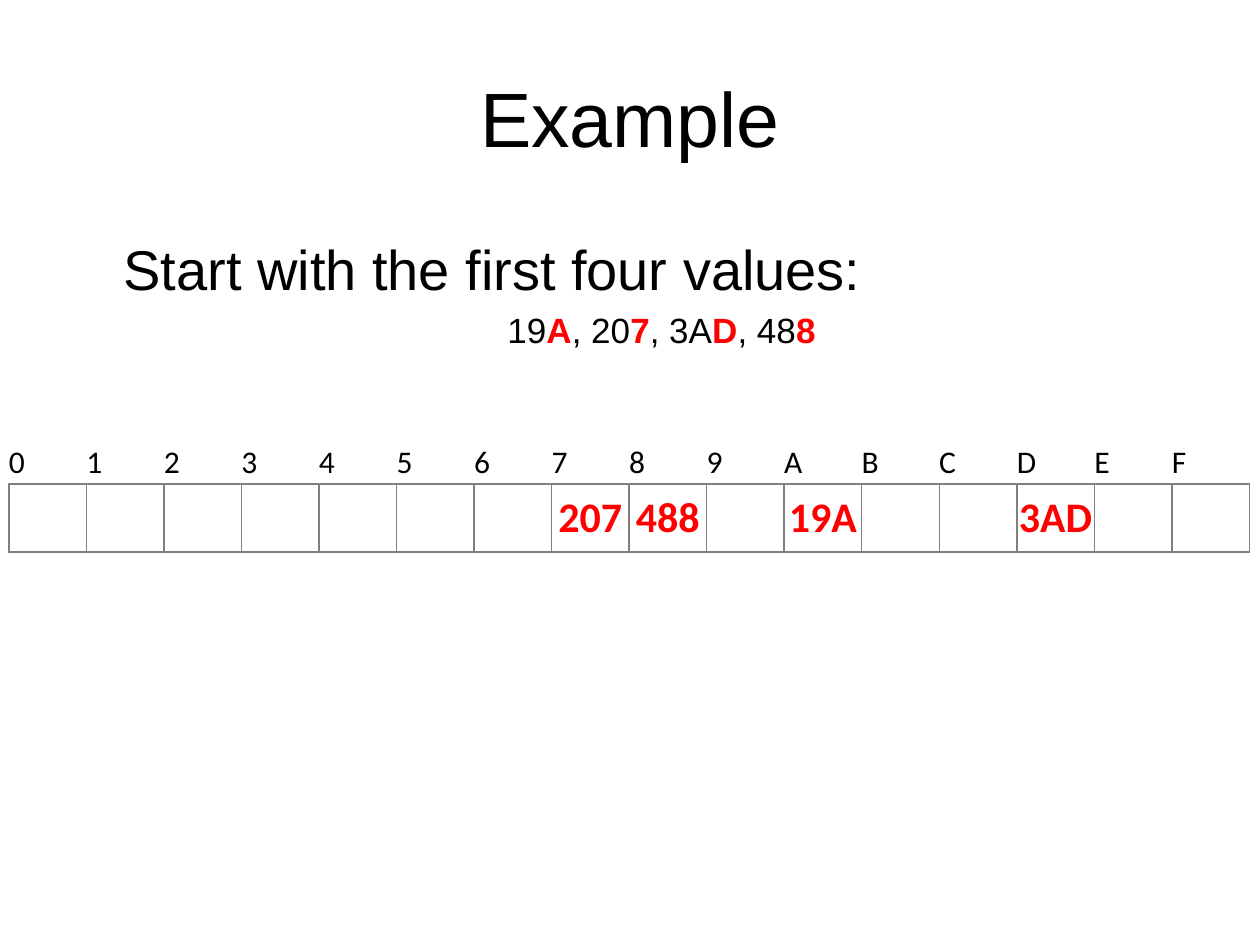
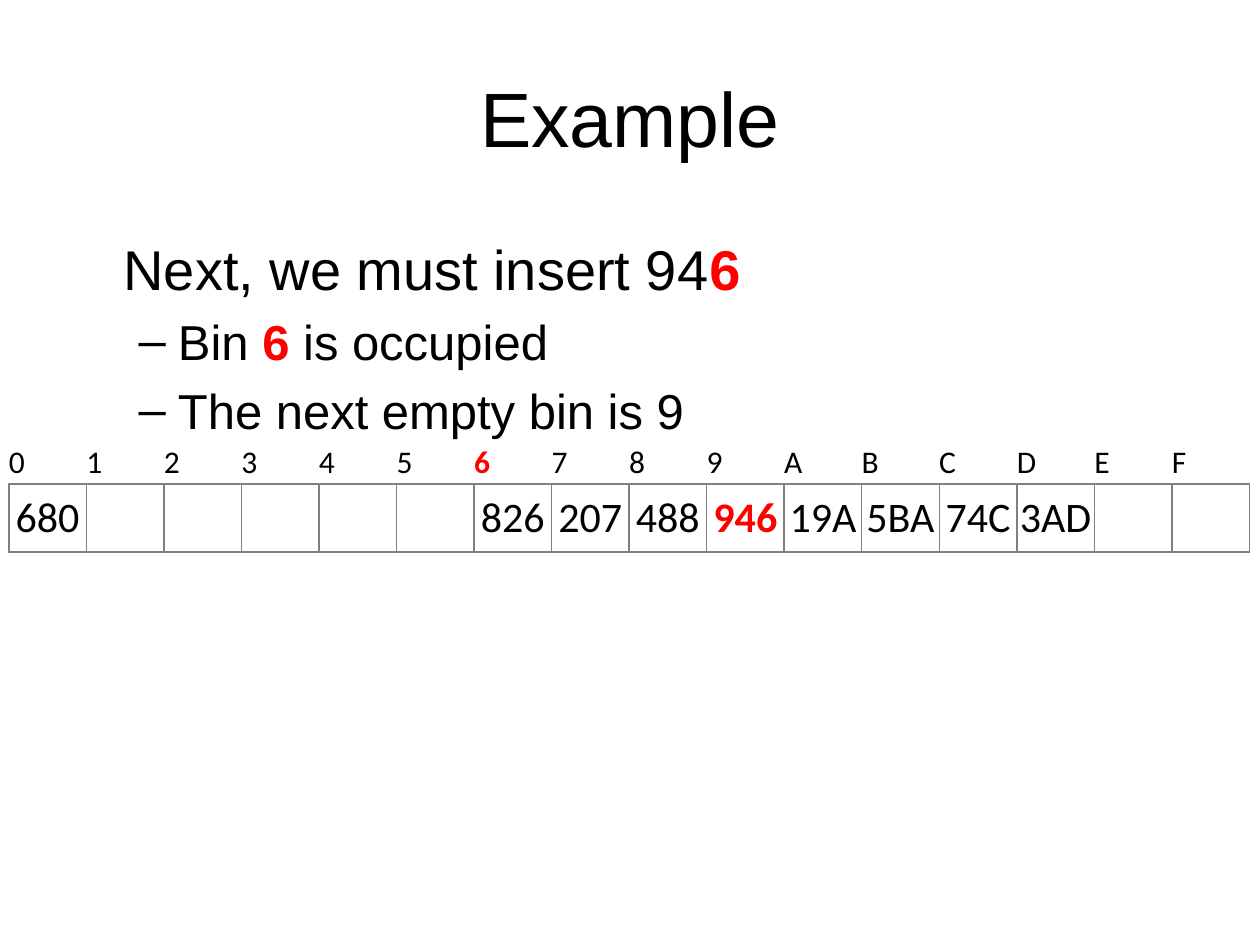
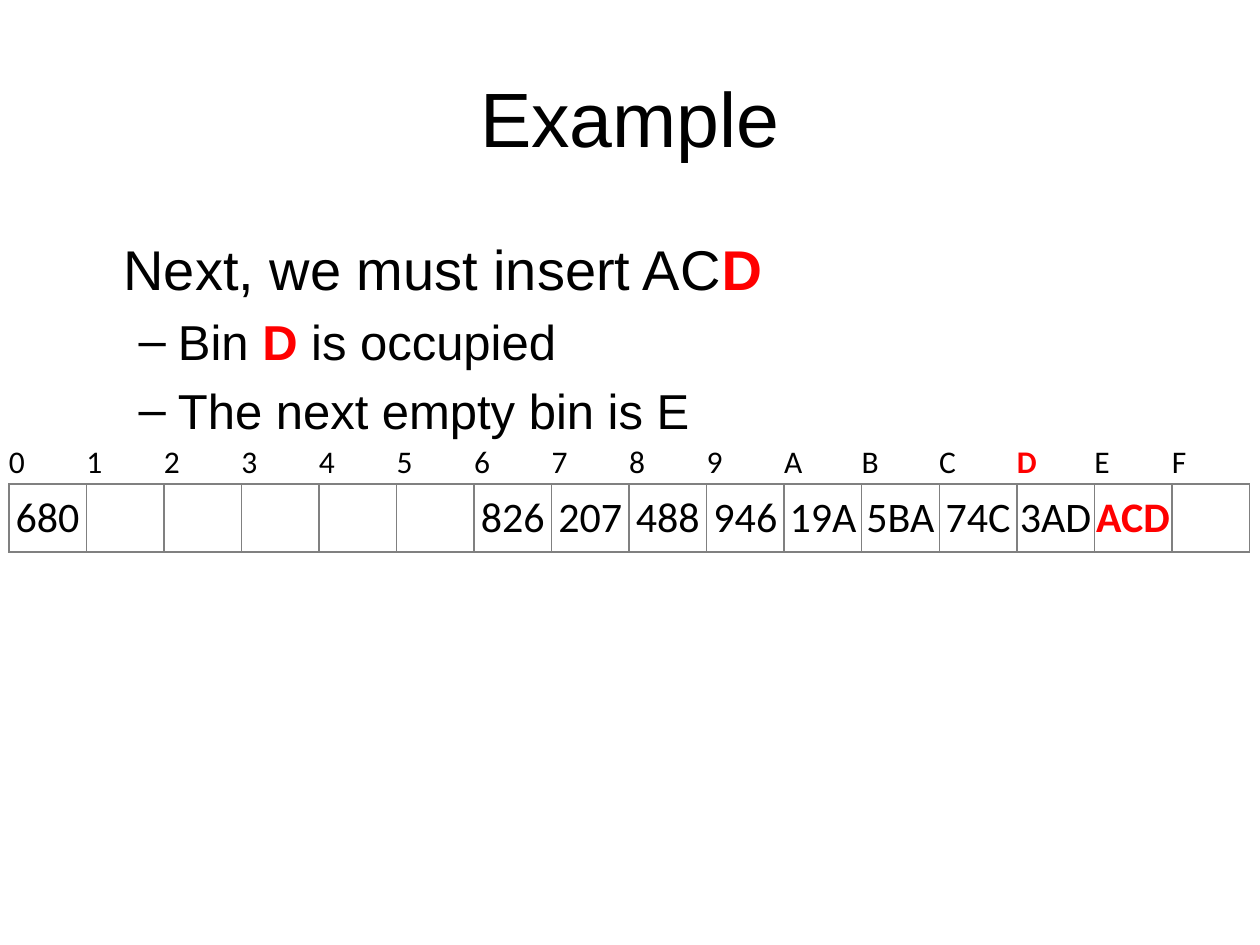
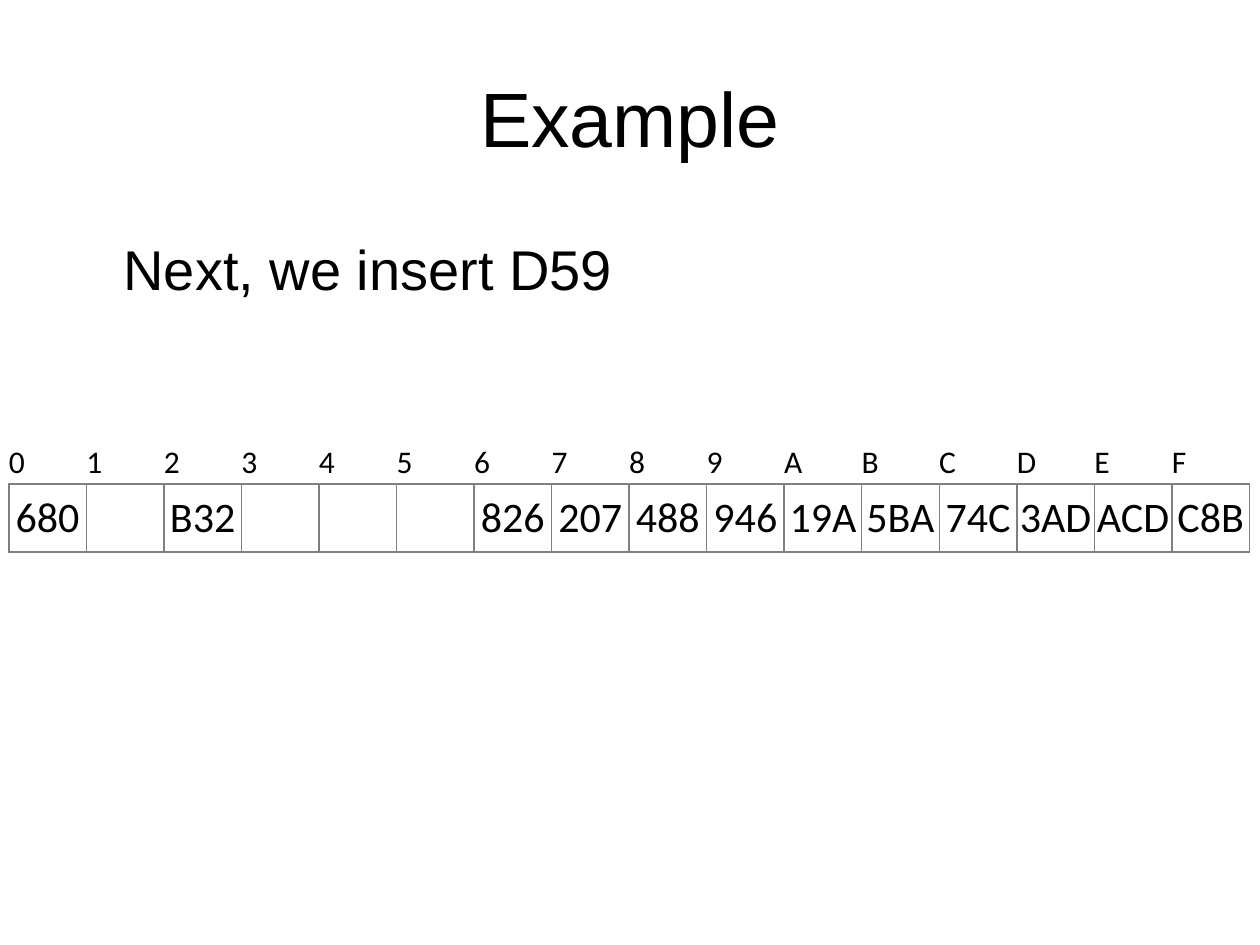
from lxml.etree import SubElement
from pptx import Presentation
from pptx.dml.color import RGBColor
from pptx.enum.text import MSO_ANCHOR as Anchor, PP_ALIGN as Align
from pptx.oxml import parse_xml
from pptx.oxml.ns import nsdecls, qn
from pptx.util import Inches, Pt

# Shared look
BLACK, RED, GRAY = "000000", "FF0000", "808080"
TEXT_FONT, TABLE_FONT = "Arial", "Calibri"
NO_STYLE_NO_GRID = "{2D5ABB26-0587-4C30-8999-92F81FD0307C}"

# Hash table: one bin for each hexadecimal digit
BINS = "0123456789ABCDEF"
TABLE_LEFT, TABLE_TOP, TABLE_WIDTH = 0.07, 3.51, 9.85
LABEL_HEIGHT, BIN_HEIGHT = 0.33, 0.54


def color(hex_value):
    return RGBColor.from_string(hex_value)


def style_font(font, name, size, hex_value=BLACK, bold=False):
    font.name = name
    font.size = Pt(size)
    font.color.rgb = color(hex_value)
    font.bold = bold


def write_marked(paragraph, marked, size):
    """Write text in which the parts between asterisks are bold and red."""
    for position, part in enumerate(marked.split("*")):
        if part:
            run = paragraph.add_run()
            run.text = part
            hot = position % 2 == 1
            style_font(run.font, TEXT_FONT, size, RED if hot else BLACK, hot)


def remove_bullet(paragraph, margin, indent):
    properties = paragraph._p.get_or_add_pPr()
    properties.set("marL", str(Inches(margin)))
    properties.set("indent", str(Inches(indent)))
    SubElement(properties, qn("a:buNone"))


def add_example(prs, lead, points=(), values=None):
    """Add a slide with its title, lead line and either points or a value list."""
    slide = prs.slides.add_slide(prs.slide_layouts[1])
    title, body = slide.placeholders
    title.left, title.top = Inches(0.5), Inches(0.3)
    title.width, title.height = Inches(9), Inches(1.25)
    title.text_frame.text = "Example"
    heading = title.text_frame.paragraphs[0]
    heading.alignment = Align.CENTER
    style_font(heading.runs[0].font, TEXT_FONT, 44)

    body.left, body.top = Inches(0.5), Inches(1.75)
    body.width, body.height = Inches(9), Inches(4.95)
    frame = body.text_frame
    frame.margin_top = Inches(0.11)
    opening = frame.paragraphs[0]
    opening.space_before = Pt(0)
    remove_bullet(opening, 0.38, 0)
    write_marked(opening, lead, 32)

    for point in points:
        paragraph = frame.add_paragraph()
        paragraph.level = 1
        write_marked(paragraph, point, 28)
    if values:
        value_line = frame.add_paragraph()
        value_line.level = 1
        value_line.alignment = Align.CENTER
        remove_bullet(value_line, 0.81, -0.31)
        write_marked(value_line, values, 20)
    return slide


def set_borders(cell, sides):
    """Draw gray lines on the given sides (L, R, T, B) and none on the others."""
    properties = cell._tc.get_or_add_tcPr()
    for index, side in enumerate("LRTB"):
        fill = (f'<a:solidFill><a:srgbClr val="{GRAY}"/></a:solidFill>'
                if side in sides else "<a:noFill/>")
        line = f'<a:ln{side} {nsdecls("a")} w="{Pt(1)}">{fill}</a:ln{side}>'
        properties.insert(index, parse_xml(line))


def fill_cell(cell, text, size, hot, alignment, sides):
    cell.margin_left = cell.margin_right = 0
    cell.margin_top = cell.margin_bottom = 0
    cell.vertical_anchor = Anchor.MIDDLE
    cell.fill.background()
    set_borders(cell, sides)
    cell.text_frame.text = text
    paragraph = cell.text_frame.paragraphs[0]
    paragraph.alignment = alignment
    for run in paragraph.runs:
        style_font(run.font, TABLE_FONT, size, RED if hot else BLACK, hot)


def add_hash_table(slide, contents, hot_bin="", hot_values=()):
    """Add the bin labels and, under them, the values the bins hold."""
    frame = slide.shapes.add_table(
        2, len(BINS), Inches(TABLE_LEFT), Inches(TABLE_TOP),
        Inches(TABLE_WIDTH), Inches(LABEL_HEIGHT + BIN_HEIGHT))
    table = frame.table
    table.first_row = table.horz_banding = False
    table._tbl.tblPr.find(qn("a:tableStyleId")).text = NO_STYLE_NO_GRID
    table.rows[0].height = Inches(LABEL_HEIGHT)
    table.rows[1].height = Inches(BIN_HEIGHT)
    for column, label in enumerate(BINS):
        table.columns[column].width = Inches(TABLE_WIDTH / len(BINS))
        value = contents.get(label, "")
        fill_cell(table.cell(0, column), label, 18, label == hot_bin,
                  Align.LEFT, "B")
        fill_cell(table.cell(1, column), value, 24, value in hot_values,
                  Align.CENTER, "LRTB")


def add_collision(prs, value, free_bin, contents):
    """Show a value whose own bin is taken and that goes to the next free one."""
    home_bin = value[-1]
    slide = add_example(
        prs, f"Next, we must insert {value[:-1]}*{home_bin}*",
        points=[f"Bin *{home_bin}* is occupied",
                f"The next empty bin is {free_bin}"])
    add_hash_table(slide, contents, home_bin, [value])


def main():
    prs = Presentation()
    prs.slide_width, prs.slide_height = Inches(10), Inches(7.5)

    # First four values
    first_four = {"A": "19A", "7": "207", "D": "3AD", "8": "488"}
    slide = add_example(prs, "Start with the first four values:",
                        values="19*A*, 20*7*, 3A*D*, 48*8*")
    add_hash_table(slide, first_four, hot_values=first_four.values())

    # Two collisions
    contents = first_four | {"0": "680", "6": "826", "B": "5BA",
                             "C": "74C", "9": "946"}
    add_collision(prs, "946", "9", contents)
    contents["E"] = "ACD"
    add_collision(prs, "ACD", "E", contents)

    # Table before the next insertion
    contents |= {"2": "B32", "F": "C8B"}
    add_hash_table(add_example(prs, "Next, we insert D59"), contents)

    prs.save("out.pptx")


if __name__ == "__main__":
    main()
